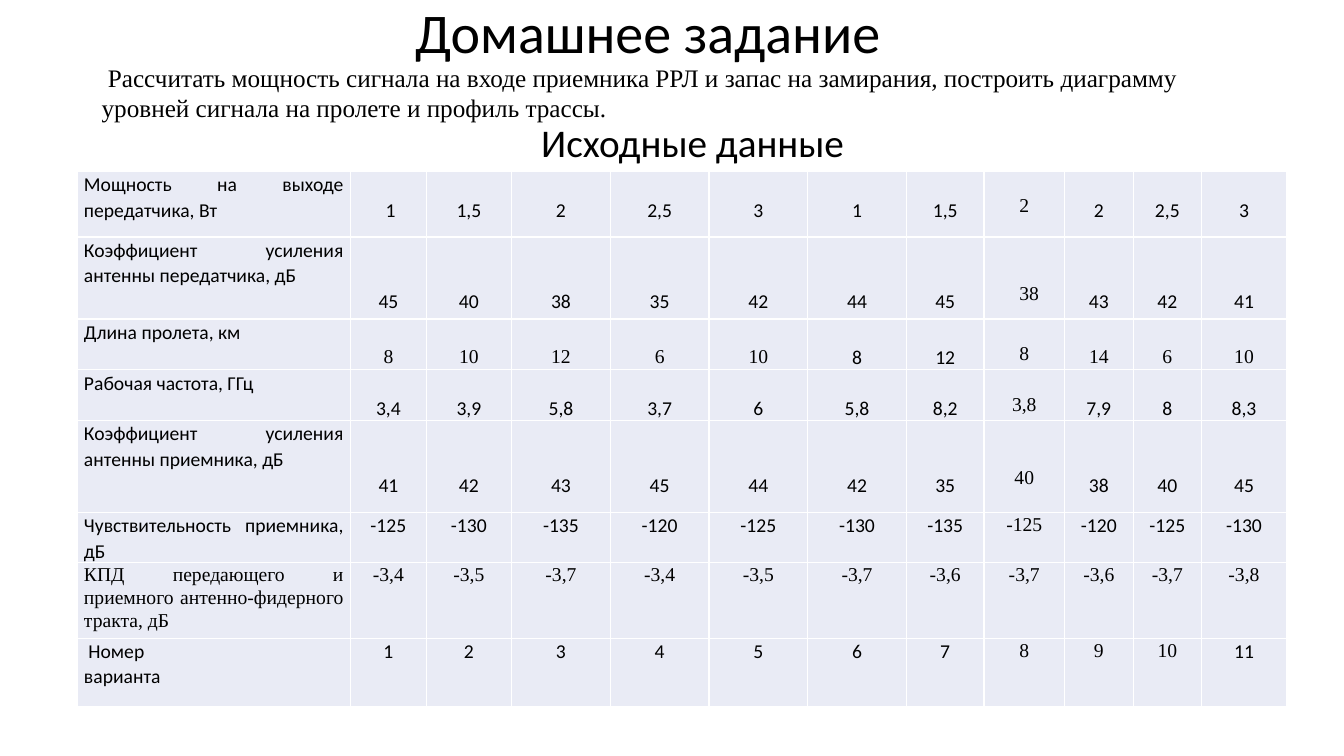
from pptx import Presentation
from pptx.dml.color import RGBColor as RGB
from pptx.enum.text import MSO_ANCHOR as ANCHOR, MSO_AUTO_SIZE as AUTO, PP_ALIGN as ALIGN
from pptx.oxml.xmlchemy import OxmlElement as Element
from pptx.util import Pt

COLORS = {"text": "000000", "cell": "E9EBF5", "border": "FFFFFF"}
SANS, SERIF = "Calibri", "Times New Roman"
TEXT_FORMAT = {
    "title": {"size": Pt(40), "name": SANS},
    "task": {"size": Pt(18), "name": SERIF},
    "subtitle": {"size": Pt(28), "name": SANS},
    "sans": {"size": Pt(14), "name": SANS},
    "serif": {"size": Pt(14), "name": SERIF},
}

TASK = (" Рассчитать мощность сигнала на входе приемника РРЛ и запас на замирания, "
        "построить диаграмму уровней сигнала на пролете и профиль трассы.")

COL_WIDTHS = [195.5, 54, 61, 70.5, 70.5, 70.5, 70.5, 55.5, 57.5, 49, 49, 60.5]
SHIFTED_COL = 8  # always serif, with slightly higher values
LINE_SANS, LINE_SERIF = 18.3, 16

# Label, row height, lines skipped above values, serif columns, values
ROWS = [
    ("Мощность на выходе передатчика, Вт", 46.8, 1, {8},
     [" 1", "1,5", "2", "2,5", "3", "1", "1,5", "2", "2", "2,5", "3"]),
    ("Коэффициент усиления антенны передатчика, дБ", 58.5, 2, {8},
     ["45", "40", "38", "35", "42", "44", "45", "38", "43", "42", "41"]),
    ("Длина пролета, км", 34, 1, {1, 2, 3, 4, 5, 8, 9, 10, 11},
     ["8", "10", "12", "6", "10", "8", "12", "8", "14", "6", "10"]),
    ("Рабочая частота, ГГц", 34.5, 1, {8},
     ["3,4", "3,9", "5,8", "3,7", "6", "5,8", "8,2", "3,8", "7,9", "8", "8,3"]),
    ("Коэффициент усиления антенны приемника, дБ", 65.5, 2, {8},
     ["41", "42", "43", "45", "44", "42", "35", "40", "38", "40", "45"]),
    ("Чувствительность приемника, дБ", 34, 0, {8},
     ["-125", "-130", "-135", "-120", "-125", "-130", "-135", "-125", "-120", "-125", "-130"]),
    ("КПД передающего и приемного антенно-фидерного тракта, дБ", 54, 0, set(range(12)),
     ["-3,4", "-3,5", "-3,7", "-3,4", "-3,5", "-3,7", "-3,6", "-3,7", "-3,6", "-3,7", "-3,8"]),
    ("\N{NO-BREAK SPACE}Номер\nварианта", 49, 0, {8, 9, 10},
     [str(n) for n in range(1, 12)]),
]


def write(tf, text, style, align=ALIGN.LEFT, spacing=1.0):
    for i, line in enumerate(text.split("\n")):
        p = tf.add_paragraph() if i else tf.paragraphs[0]
        p.alignment, p.line_spacing = align, spacing
        r = p.add_run()
        r.text = line
        for key, value in TEXT_FORMAT[style].items():
            setattr(r.font, key, value)
        r.font.color.rgb = RGB.from_string(COLORS["text"])


def add_text(s, box, text, style, spacing=1.0, **frame):
    tf = s.shapes.add_textbox(*map(Pt, box)).text_frame
    for key, value in {"word_wrap": True, **frame}.items():
        setattr(tf, key, value)
    write(tf, text, style, spacing=spacing)


def set_borders(cell):
    tc_pr = cell._tc.get_or_add_tcPr()
    for side in ("L", "R", "T", "B"):
        ln = Element(f"a:ln{side}")
        ln.set("w", str(Pt(1)))
        fill, color = Element("a:solidFill"), Element("a:srgbClr")
        color.set("val", COLORS["border"])
        fill.append(color)
        ln.append(fill)
        tc_pr.append(ln)


def fill_cell(cell, text, style, align, top=0, left=5):
    margins = {"margin_left": left, "margin_right": 5, "margin_top": top, "margin_bottom": 0}
    for key, value in margins.items():
        setattr(cell, key, Pt(value))
    set_borders(cell)
    cell.fill.solid()
    cell.fill.fore_color.rgb = RGB.from_string(COLORS["cell"])
    write(cell.text_frame, text, style, align, 1.07)


def add_data_table(s, left, top):
    height = sum(row[1] for row in ROWS)
    table = s.shapes.add_table(len(ROWS), len(COL_WIDTHS), Pt(left), Pt(top),
                               Pt(sum(COL_WIDTHS)), Pt(height)).table
    table.first_row = table.horz_banding = False
    for col, width in zip(table.columns, COL_WIDTHS):
        col.width = Pt(width)
    for i, (label, row_height, skipped, serif_cols, values) in enumerate(ROWS):
        table.rows[i].height = Pt(row_height)
        for j, text in enumerate([label, *values]):
            style = "serif" if j in serif_cols else "sans"
            if j == 0:
                fill_cell(table.cell(i, j), text, style, ALIGN.JUSTIFY)
                continue
            line = LINE_SERIF if j == SHIFTED_COL else LINE_SANS
            # The gain value in the shifted column sits a little to the right
            left_margin = 12 if (i, j) == (1, SHIFTED_COL) else 5
            fill_cell(table.cell(i, j), text, style, ALIGN.CENTER, skipped * line, left_margin)


def main():
    prs = Presentation()
    prs.slide_width, prs.slide_height = Pt(960), Pt(540)
    s = prs.slides.add_slide(prs.slide_layouts[6])

    # Source data heading and table
    add_text(s, (379.5, 51, 828, 104.5), "Исходные данные", "subtitle", 0.9,
             vertical_anchor=ANCHOR.MIDDLE)
    add_data_table(s, 55, 122.5)

    # Task and title
    add_text(s, (65.5, 41, 816, 51), TASK, "task", auto_size=AUTO.SHAPE_TO_FIT_TEXT)
    add_text(s, (289.5, -5, 415.5, 55.5), "Домашнее задание", "title",
             auto_size=AUTO.SHAPE_TO_FIT_TEXT)

    prs.save("out.pptx")


if __name__ == "__main__":
    main()
